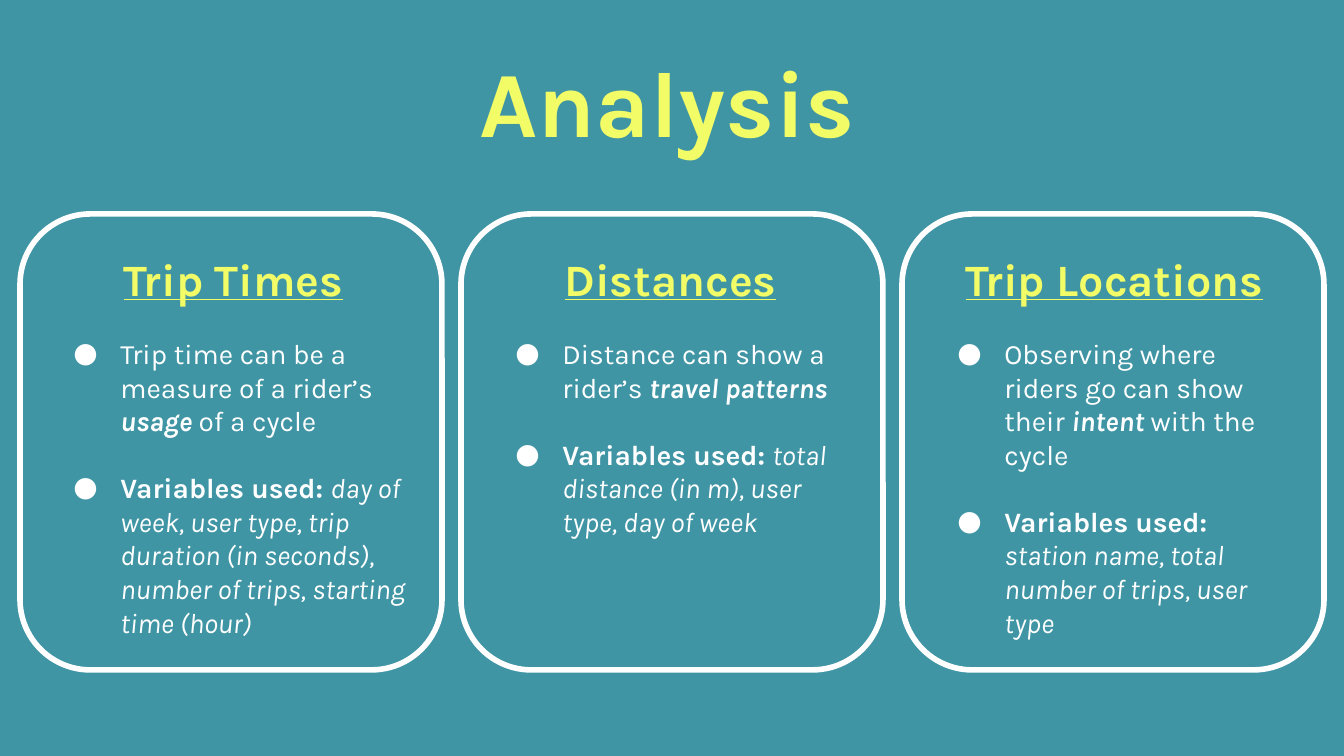
import pptx
import pptx.dml.color
import pptx.enum.shapes
import pptx.enum.text
import pptx.oxml
import pptx.oxml.ns
import pptx.util

EMU_PER_PX = 914400 / 134.4
FONT = "Karla"
TEAL, YELLOW, WHITE = "4095A5", "F2FC67", "FFFFFF"
ALIGN = pptx.enum.text.PP_ALIGN
ANCHOR = pptx.enum.text.MSO_ANCHOR

TOPICS = [
    ("Trip Times", 54, [
        [("Trip time can be a measure of a rider’s ", ""), ("usage ", "bi"), ("of a cycle", "")],
        [("Variables used: ", "b"),
         ("day of week, user type, trip duration (in seconds), number of trips, starting time (hour)", "i")],
    ]),
    ("Distances", 491, [
        [("Distance can show a rider’s ", ""), ("travel patterns", "bi")],
        [("Variables used: ", "b"), ("total distance (in m), user type, day of week", "i")],
    ]),
    ("Trip Locations", 935, [
        [("Observing where riders go can show their ", ""), ("intent ", "bi"), ("with the cycle", "")],
        [("Variables used: ", "b"), ("station name, total number of trips, user type", "i")],
    ]),
]


def px(n):
    return pptx.util.Emu(round(n * EMU_PER_PX))


def rgb(color):
    return pptx.dml.color.RGBColor.from_string(color)


def place(sp, left, top, width, height):
    sp.left, sp.top, sp.width, sp.height = px(left), px(top), px(width), px(height)


def setup_frame(sp, anchor):
    tf = sp.text_frame
    tf.word_wrap = True
    tf.auto_size = pptx.enum.text.MSO_AUTO_SIZE.NONE
    tf.vertical_anchor = anchor
    tf.margin_left = tf.margin_right = tf.margin_top = tf.margin_bottom = pptx.util.Inches(0.1)
    return tf


def style_font(font, size, color, bold=False, italic=False):
    font.name = FONT
    font.size = pptx.util.Pt(size)
    font.color.rgb = rgb(color)
    font.bold = bold
    font.italic = italic


def add_bullet(p):
    pPr = p._p.get_or_add_pPr()
    pPr.set("marL", str(px(67)))
    pPr.set("indent", str(-px(47)))
    ns = pptx.oxml.ns.nsdecls("a")
    for xml in (f'<a:buClr {ns}><a:srgbClr val="{WHITE}"/></a:buClr>',
                f'<a:buFont {ns} typeface="{FONT}"/>',
                f'<a:buChar {ns} char="●"/>'):
        pPr.append(pptx.oxml.parse_xml(xml))


def fill_title(sp, text):
    place(sp, 466, 31, 410, 157)
    tf = setup_frame(sp, ANCHOR.TOP)
    tf.text = text
    p = tf.paragraphs[0]
    p.alignment = ALIGN.LEFT
    style_font(p.runs[0].font, 50, YELLOW, bold=True)


def add_card(s, column):
    sp = s.shapes.add_shape(pptx.enum.shapes.MSO_SHAPE.FLOWCHART_ALTERNATE_PROCESS,
                            px(20 + 441 * column), px(214), px(422), px(456))
    sp.shadow.inherit = False
    sp.fill.solid()
    sp.fill.fore_color.rgb = rgb(TEAL)
    sp.line.color.rgb = rgb(WHITE)
    sp.line.width = pptx.util.Pt(3)
    s.shapes._spTree.insert(2 + column, sp._element)


def add_heading(s, text, left):
    sp = s.shapes.add_textbox(px(left), px(235), px(359), px(87))
    tf = setup_frame(sp, ANCHOR.MIDDLE)
    tf.text = text
    p = tf.paragraphs[0]
    p.alignment = ALIGN.CENTER
    style_font(p.runs[0].font, 24, YELLOW, bold=True)
    p.runs[0].font.underline = True


def fill_list(sp, column, items):
    place(sp, 40 + 442 * column, 323, 379, 329)
    tf = setup_frame(sp, ANCHOR.TOP)
    for i, item in enumerate(items):
        p = tf.add_paragraph() if i else tf.paragraphs[0]
        add_bullet(p)
        p.alignment = ALIGN.LEFT
        p.space_before = pptx.util.Pt(18 if i else 0)
        for text, style in item:
            r = p.add_run()
            r.text = text
            style_font(r.font, 15, WHITE, "b" in style, "i" in style)


def main():
    prs = pptx.Presentation()
    prs.slide_width, prs.slide_height = px(1344), px(756)
    s = prs.slides.add_slide(prs.slide_layouts.get_by_name("Comparison"))
    s.background.fill.solid()
    s.background.fill.fore_color.rgb = rgb(TEAL)
    title, *bodies = s.placeholders
    fill_title(title, "Analysis")
    for column, (heading, left, items) in enumerate(TOPICS):
        add_card(s, column)
        add_heading(s, heading, left)
        fill_list(bodies[column], column, items)
    for sp in bodies[len(TOPICS):]:
        sp._element.getparent().remove(sp._element)
    prs.save("out.pptx")


if __name__ == "__main__":
    main()
